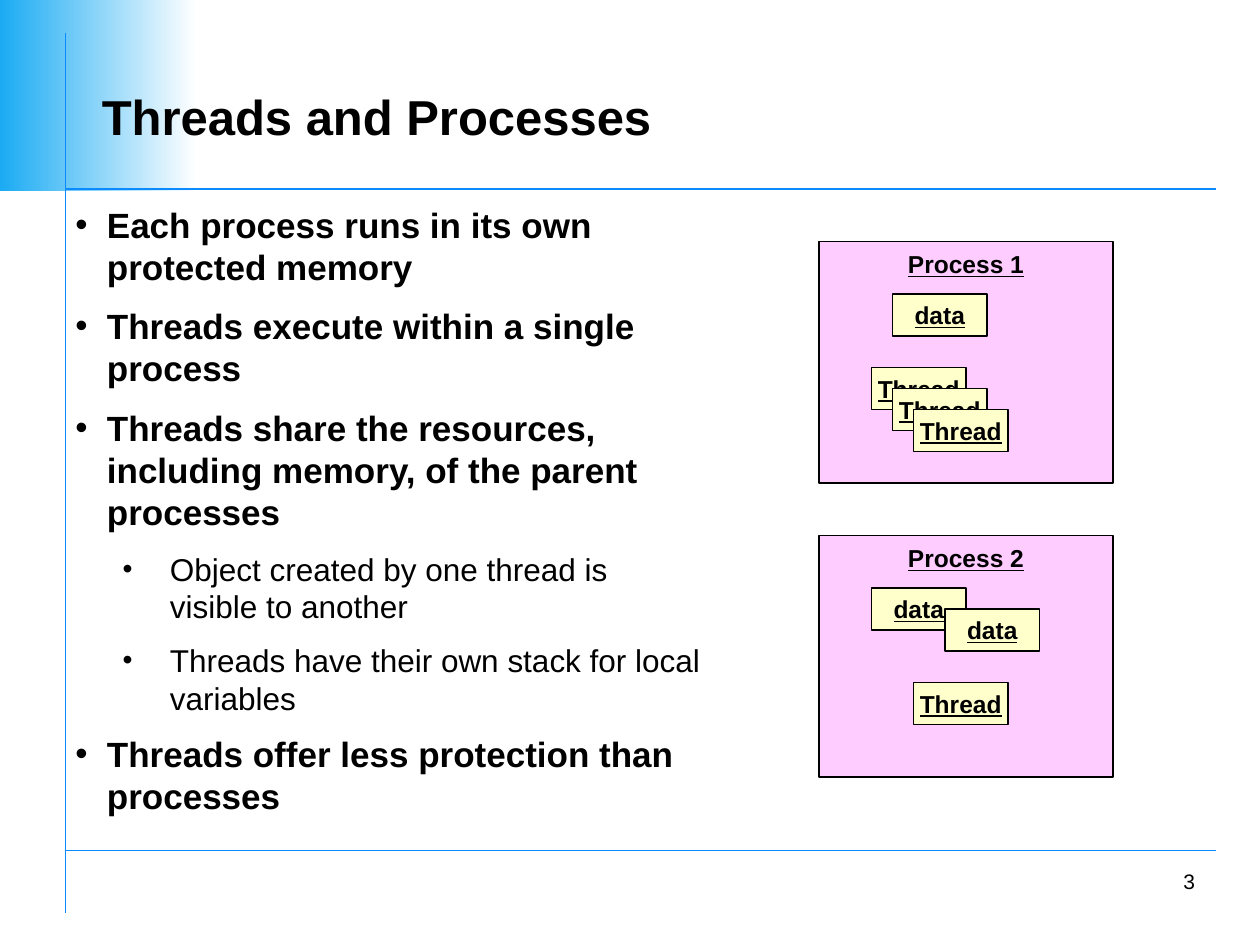
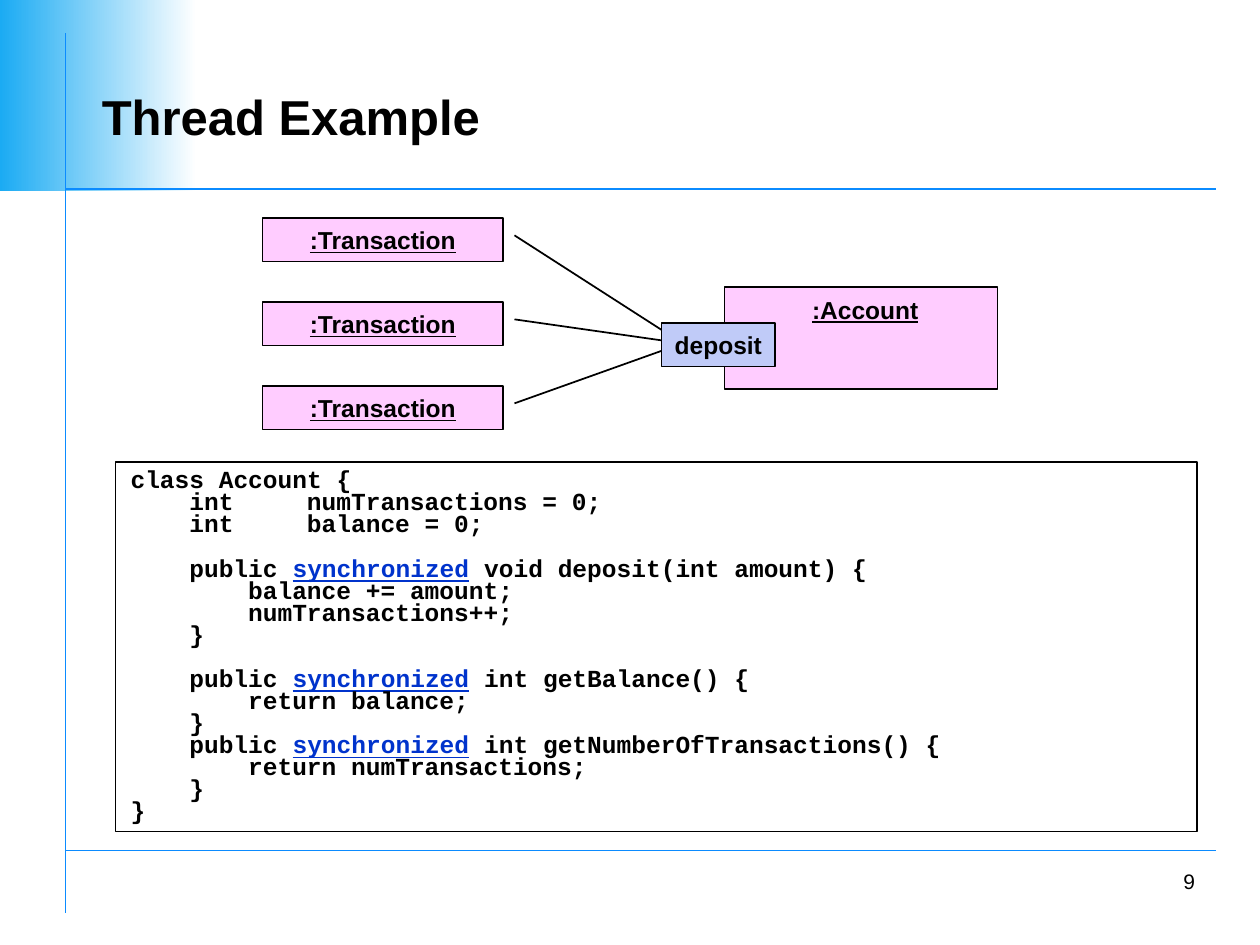
from lxml.etree import SubElement as Sub
from pptx import Presentation
from pptx.dml.color import RGBColor
from pptx.enum.shapes import MSO_CONNECTOR as Link, MSO_SHAPE as Shape
from pptx.enum.text import MSO_ANCHOR as Anchor, PP_ALIGN as Align
from pptx.oxml.ns import qn
from pptx.util import Pt

SANS, MONO = "Arial", "Courier New"
BLACK, WHITE, RULE, SKY = "000000", "FFFFFF", "0B8BFF", "1BABF3"
PINK, CREAM, LILAC, KEY = "FFCCFF", "FFFFCC", "C0CBF8", "0033CC"
STEP = 12
CHAR = 8.4
PITCH = 12.6
WORD = "synchronized"

BODY = [
    (0, "Each process runs in its own protected memory"),
    (0, "Threads execute within a single process"),
    (0, "Threads share the resources, including memory, of the parent processes"),
    (1, "Object created by one thread is visible to another"),
    (1, "Threads have their own stack for local variables"),
    (0, "Threads offer less protection than processes"),
]
LEVELS = [(20, True, 18, 100), (18, False, 54, 90)]

CODE = [
    (0, False, "class Account {"),
    (1, False, "int\tnumTransactions = 0;"),
    (1, False, "int\tbalance = 0;"),
    (1, True, "public synchronized void deposit(int amount) {"),
    (2, False, "balance += amount;"),
    (2, False, "numTransactions++;"),
    (1, False, "}"),
    (1, True, "public synchronized int getBalance() {"),
    (2, False, "return balance;"),
    (1, False, "}"),
    (1, False, "public synchronized int getNumberOfTransactions() {"),
    (2, False, "return numTransactions;"),
    (1, False, "}"),
    (0, False, "}"),
]


def tint(code):
    return RGBColor.from_string(code)


def pts(*nums):
    return [Pt(n) for n in nums]


def style(run, size, bold=True, under=False, color=BLACK, face=SANS):
    font = run.font
    font.name, font.size = face, Pt(size)
    font.bold, font.underline = bold, under
    font.color.rgb = tint(color)


def inset(frame, left, top, right, low):
    frame.margin_left, frame.margin_top = pts(left, top)
    frame.margin_right, frame.margin_bottom = pts(right, low)


def rule(slide, x1, y1, x2, y2, color=BLACK):
    line = slide.shapes.add_connector(Link.STRAIGHT, *pts(x1, y1, x2, y2))
    line.line.color.rgb = tint(color)
    line.line.width = Pt(1)
    Sub(line._element.spPr, qn("a:effectLst"))


def block(slide, box, fill=None, width=1):
    shape = slide.shapes.add_shape(Shape.RECTANGLE, *pts(*box))
    shape.shadow.inherit = False
    if fill:
        shape.fill.solid()
        shape.fill.fore_color.rgb = tint(fill)
    else:
        shape.fill.background()
    shape.line.color.rgb = tint(BLACK)
    shape.line.width = Pt(width)
    return shape


def label(slide, box, text, fill, under=True, anchor=Anchor.MIDDLE):
    frame = block(slide, box, fill).text_frame
    frame.text = text
    frame.word_wrap = False
    frame.vertical_anchor = anchor
    inset(frame, 0, 4.5, 0, 4.5)
    para = frame.paragraphs[0]
    para.alignment = Align.CENTER
    style(para.runs[0], 14, under=under)
    return frame


def bullet(para, left, hang, scale):
    props = para._p.get_or_add_pPr()
    props.set("marL", str(Pt(left)))
    props.set("indent", str(Pt(-hang)))
    hue = Sub(props, qn("a:buClr"))
    Sub(hue, qn("a:srgbClr"), val=BLACK)
    Sub(props, qn("a:buSzPct"), val=str(scale * 1000))
    Sub(props, qn("a:buFont"), typeface=SANS)
    Sub(props, qn("a:buChar"), char="•")


def base(deck, name, page):
    slide = deck.slides.add_slide(deck.slide_layouts[5])
    band = slide.shapes.add_shape(Shape.RECTANGLE, *pts(0, 0, 112.5, 109))
    band.shadow.inherit = False
    band.line.fill.background()
    band.fill.gradient()
    band.fill.gradient_angle = 0
    for stop, color, spot in zip(band.fill.gradient_stops, (SKY, WHITE), (0, 1)):
        stop.color.rgb = tint(color)
        stop.position = spot
    rule(slide, 38, 486, 695, 486, RULE)
    rule(slide, 37.5, 19, 37.5, 521.5, RULE)
    rule(slide, 38, 108, 695, 108, RULE)

    title = slide.shapes.title
    title.left, title.top, title.width, title.height = pts(51, 42, 639, 48)
    frame = title.text_frame
    frame.text = name
    frame.vertical_anchor = Anchor.MIDDLE
    frame.paragraphs[0].alignment = Align.LEFT
    style(frame.paragraphs[0].runs[0], 28)
    slide.shapes.element.append(title.element)

    foot = slide.shapes.add_textbox(*pts(540, 492, 150, 22.5)).text_frame
    foot.text = str(page)
    foot.word_wrap = True
    foot.vertical_anchor = Anchor.MIDDLE
    foot.paragraphs[0].alignment = Align.RIGHT
    style(foot.paragraphs[0].runs[0], 12, bold=False)
    return slide


def points(slide, box):
    frame = slide.shapes.add_textbox(*pts(*box)).text_frame
    frame.word_wrap = True
    for i, (level, text) in enumerate(BODY):
        para = frame.add_paragraph() if i else frame.paragraphs[0]
        size, bold, left, scale = LEVELS[level]
        para.text = text
        para.level = level
        para.space_after = Pt(size / 2)
        style(para.runs[0], size, bold)
        bullet(para, left, 27 if level else 18, scale)


def process(slide, x, y, name, parts):
    label(slide, (x, y, 168, 138), name, PINK, anchor=Anchor.TOP)
    for text, col, row in parts:
        label(slide, (x + col * STEP, y + row * STEP, 54, 24), text, CREAM)


def calls(slide, x, y):
    frame = label(slide, (x + 264, y + 39.5, 156, 58.5), ":Account", PINK, anchor=Anchor.TOP)
    frame.paragraphs[0].alignment = Align.LEFT
    frame.margin_left = Pt(50)
    label(slide, (x + 228, y + 60, 65, 25), "deposit", LILAC, under=False)
    for i in range(3):
        top = y + 48 * i
        label(slide, (x, top, 137.5, 25), ":Transaction", PINK)
        rule(slide, x + 144, top + 10, x + 228, y + 64 + 6 * i)


def listing(slide, box):
    frame = block(slide, box, width=0.75).text_frame
    frame.word_wrap = True
    frame.vertical_anchor = Anchor.TOP
    inset(frame, 8.64, 5.5, 8.64, 4.3)
    for i, (depth, gap, text) in enumerate(CODE):
        para = frame.add_paragraph() if i else frame.paragraphs[0]
        para.alignment = Align.LEFT
        para.line_spacing = Pt(PITCH)
        para.space_before = Pt(PITCH if gap else 0)
        hang = 8 * CHAR if "\t" in text else 0
        props = para._p.get_or_add_pPr()
        props.set("marL", str(Pt(4 * CHAR * depth + hang)))
        props.set("indent", str(Pt(-hang)))
        for part in filter(None, text.partition(WORD)):
            run = para.add_run()
            run.text = part
            key = part == WORD
            style(run, 14, under=key, color=KEY if key else BLACK, face=MONO)


def main():
    deck = Presentation()
    deck.slide_width, deck.slide_height = pts(720, 540)

    slide = base(deck, "Threads and Processes", 3)
    points(slide, (36, 112.5, 372, 371))
    stack = [("Thread", 2.5 + i, 6 + i) for i in range(3)]
    process(slide, 468, 138, "Process 1", [("data", 3.5, 2.5)] + stack)
    process(slide, 468, 306, "Process 2",
            [("data", 2.5, 2.5), ("Thread", 4.5, 7), ("data", 6, 3.5)])

    slide = base(deck, "Thread Example", 9)
    listing(slide, (66, 264, 618, 211))
    calls(slide, 150, 124.5)

    deck.save("out.pptx")


if __name__ == "__main__":
    main()
